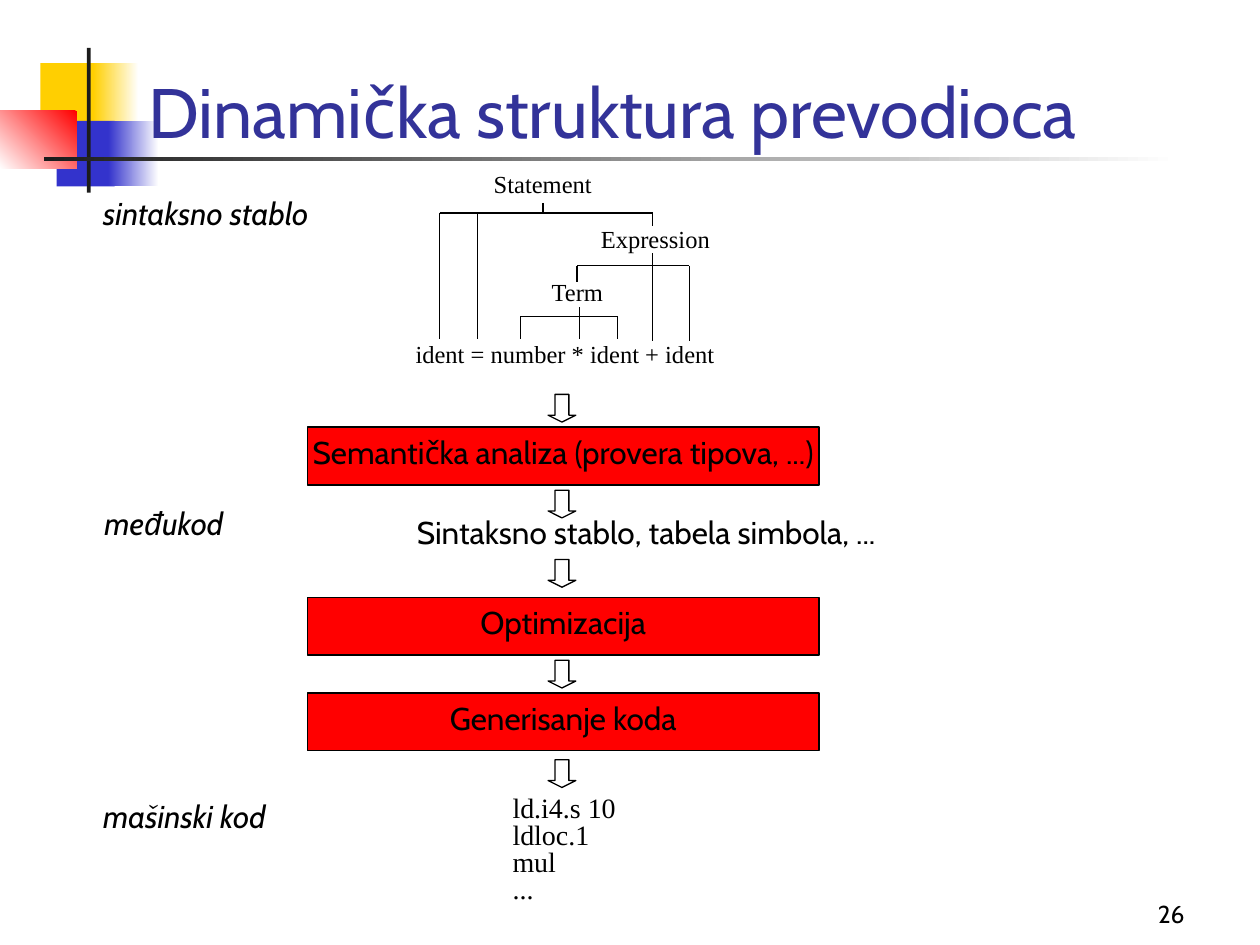
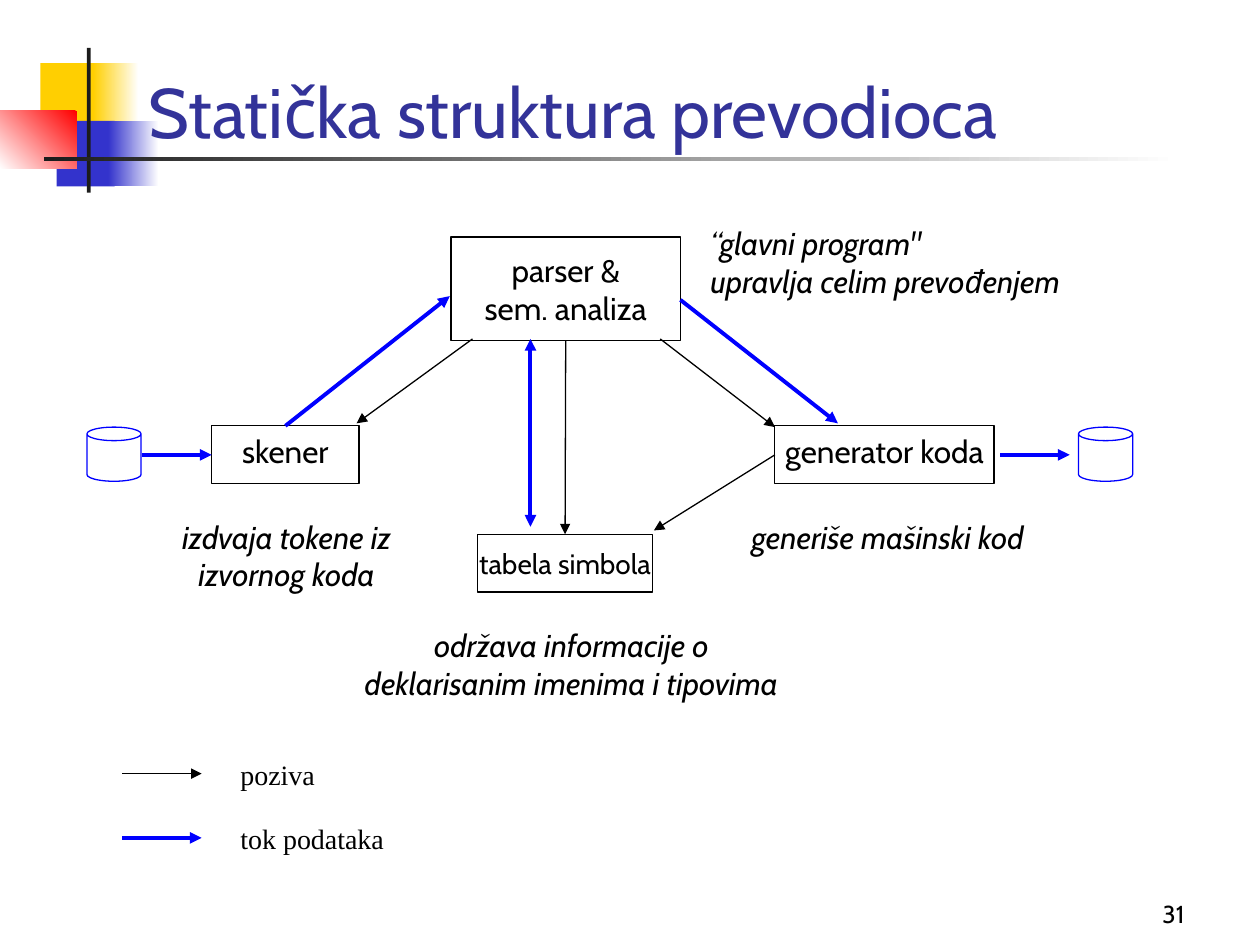
"""Build two slides on the dynamic and static structure of a compiler."""

from dataclasses import dataclass
from typing import Any, Optional

import lxml.etree
import pptx
import pptx.dml.color
import pptx.enum.shapes
import pptx.enum.text
import pptx.oxml.ns
import pptx.util

EMU_PER_PX = 9144
SHAPE = pptx.enum.shapes.MSO_SHAPE
ALIGN = pptx.enum.text.PP_ALIGN
ANCHOR = pptx.enum.text.MSO_ANCHOR
AUTO_SIZE = pptx.enum.text.MSO_AUTO_SIZE
TITLE_ONLY = 5
TOP, LEFT, BOTTOM = 0, 1, 2


@dataclass(frozen=True)
class Theme:
    """Colours, fonts, type sizes and line widths of the deck."""

    black: str = "000000"
    white: str = "FFFFFF"
    title: str = "333399"
    yellow: str = "FFCF01"
    violet: str = "3333CC"
    red: str = "FF0000"
    charcoal: str = "1C1C1C"
    flow: str = "0000FF"
    sans: str = "Cabin"
    serif: str = "Times New Roman"
    title_size: int = 40
    body_size: int = 18
    small_size: int = 16
    tiny_size: int = 14
    thin: float = 0.75
    thick: float = 2.25


THEME = Theme()


@dataclass(frozen=True)
class TextStyle:
    """Look of the text in one box."""

    font: str = THEME.sans
    size: int = THEME.body_size
    color: str = THEME.black
    italic: bool = False
    align: Any = ALIGN.LEFT
    spacing: Optional[float] = None


TITLE = TextStyle(size=THEME.title_size, color=THEME.title)
NUMBER = TextStyle(size=THEME.tiny_size, align=ALIGN.RIGHT)
BODY = TextStyle()
STAGE = TextStyle(align=ALIGN.CENTER)
SMALL_STAGE = TextStyle(size=THEME.small_size, align=ALIGN.CENTER)
NOTE = TextStyle(italic=True)
CENTERED_NOTE = TextStyle(italic=True, align=ALIGN.CENTER)
NODE = TextStyle(font=THEME.serif, size=THEME.tiny_size)
LEGEND = TextStyle(font=THEME.serif, size=THEME.small_size)
CODE = TextStyle(font=THEME.serif, size=THEME.small_size, spacing=0.8)


@dataclass(frozen=True)
class Box:
    """Place of an element in px."""

    left: int
    top: int
    width: int
    height: int

    def emu(self) -> tuple[int, ...]:
        """Return the four lengths in EMU."""
        return tuple(EMU_PER_PX * px for px in (self.left, self.top, self.width, self.height))


@dataclass(frozen=True)
class Band:
    """Borderless rectangle, plain or fading into a second colour."""

    box: Box
    color: str
    end_color: Optional[str] = None
    angle: int = 180


@dataclass(frozen=True)
class Label:
    """Free text on a slide."""

    text: str
    box: Box
    style: TextStyle


@dataclass(frozen=True)
class Block:
    """Outlined shape with optional text and fill."""

    box: Box
    text: str = ""
    style: TextStyle = STAGE
    kind: Any = SHAPE.RECTANGLE
    fill: Optional[str] = None
    line: str = THEME.black
    anchor: Any = ANCHOR.TOP
    adjustments: tuple[float, ...] = ()


@dataclass(frozen=True)
class Link:
    """Straight line, optionally joined to named blocks."""

    start: tuple[int, int]
    end: tuple[int, int]
    color: str = THEME.black
    width: float = THEME.thin
    ends: tuple[str, ...] = ()
    begin_join: Optional[tuple[str, int]] = None
    end_join: Optional[tuple[str, int]] = None


def call(start: tuple[int, int], end: tuple[int, int], **joins: Any) -> Link:
    """Describe a thin call arrow."""
    return Link(start, end, ends=("tailEnd",), **joins)


def flow(start: tuple[int, int], end: tuple[int, int], both: bool = False, **joins: Any) -> Link:
    """Describe a thick data flow arrow."""
    ends = ("headEnd", "tailEnd") if both else ("tailEnd",)
    return Link(start, end, THEME.flow, THEME.thick, ends, **joins)


BANDS = (
    Band(Box(32, 50, 48, 52), THEME.yellow),
    Band(Box(74, 50, 36, 52), THEME.white, THEME.yellow),
    Band(Box(45, 96, 46, 52), THEME.violet),
    Band(Box(86, 96, 40, 52), THEME.white, THEME.violet),
    Band(Box(0, 88, 61, 46), THEME.red, THEME.white, 225),
    Band(Box(69, 38, 3, 115), THEME.charcoal),
    Band(Box(35, 125, 900, 3), THEME.white, THEME.charcoal),
)
TITLE_BOX = Box(108, 0, 852, 126)
NUMBER_BOX = Box(842, 692, 108, 50)

STAGES = (
    (339, "Semantička analiza (provera tipova, ...)"),
    (474, "Optimizacija"),
    (550, "Generisanje koda"),
)
DOWN_ARROW_TOPS = (313, 389, 444, 524, 603)
TREE_LABELS = (
    Label("Statement", Box(382, 129, 102, 34), NODE),
    Label("Expression", Box(467, 173, 112, 34), NODE),
    Label("Term", Box(428, 215, 66, 34), NODE),
    Label("ident = number * ident + ident", Box(320, 264, 266, 34), NODE),
)
PHASE_LABELS = (
    Label("sintaksno stablo", Box(72, 149, 201, 40), NOTE),
    Label("međukod", Box(73, 395, 124, 40), NOTE),
    Label("mašinski kod", Box(72, 628, 165, 40), NOTE),
    Label("Sintaksno stablo, tabela simbola, ...", Box(321, 402, 432, 40), BODY),
    Label("ld.i4.s 10\nldloc.1\nmul\n...", Box(397, 628, 106, 96), CODE),
)
TREE_BARS = ((349, 518, 169), (458, 547, 211), (413, 490, 251))
TREE_STEMS = (
    (431, 161, 169), (349, 169, 269), (379, 169, 269), (518, 169, 179),
    (518, 201, 271), (458, 211, 224), (547, 211, 271),
    (460, 244, 269), (413, 251, 269), (490, 251, 269),
)

COMPONENTS = {
    "parser": Block(Box(358, 188, 182, 82), "parser &\nsem. analiza", anchor=ANCHOR.MIDDLE),
    "scanner": Block(Box(168, 338, 117, 46), "skener"),
    "symbols": Block(Box(379, 424, 139, 46), "tabela simbola", SMALL_STAGE, anchor=ANCHOR.MIDDLE),
    "generator": Block(Box(615, 338, 174, 46), "generator koda"),
}
CYLINDER_LEFTS = (69, 856)
ROLE_LABELS = (
    Label("izdvaja tokene iz\nizvornog koda", Box(126, 406, 203, 70), CENTERED_NOTE),
    Label("održava informacije o\ndeklarisanim imenima i tipovima", Box(261, 492, 385, 70), CENTERED_NOTE),
    Label("generiše mašinski kod", Box(572, 406, 265, 40), CENTERED_NOTE),
    Label("“glavni program\"\nupravlja celim prevođenjem", Box(554, 173, 328, 70), NOTE),
    Label("poziva", Box(181, 596, 83, 37), LEGEND),
    Label("tok podataka", Box(181, 647, 138, 37), LEGEND),
)
COMPONENT_LINKS = (
    call((447, 269), (447, 422), begin_join=("parser", BOTTOM), end_join=("symbols", TOP)),
    call((375, 269), (283, 336)),
    call((524, 269), (615, 339)),
    call((615, 358), (519, 421), begin_join=("generator", LEFT)),
    call((97, 614), (160, 614)),
    flow((224, 337), (357, 235), begin_join=("scanner", TOP)),
    flow((421, 418), (421, 269), both=True),
    flow((113, 361), (167, 361), end_join=("scanner", LEFT)),
    flow((794, 361), (849, 361)),
    flow((540, 238), (665, 336)),
    flow((97, 665), (160, 665)),
)


def rgb(color: str) -> pptx.dml.color.RGBColor:
    """Turn a hex string into a colour."""
    return pptx.dml.color.RGBColor.from_string(color)


def write(text_frame: Any, text: str, style: TextStyle) -> None:
    """Set the text of a frame and format its runs."""
    text_frame.text = text
    for paragraph in text_frame.paragraphs:
        paragraph.alignment = style.align
        if style.spacing:
            paragraph.line_spacing = style.spacing
        for run in paragraph.runs:
            run.font.name = style.font
            run.font.size = pptx.util.Pt(style.size)
            run.font.italic = style.italic
            run.font.color.rgb = rgb(style.color)


def add_band(slide: Any, band: Band) -> Any:
    """Draw a band and return its shape."""
    shape = slide.shapes.add_shape(SHAPE.RECTANGLE, *band.box.emu())
    shape.shadow.inherit = False
    shape.line.fill.background()
    if band.end_color is None:
        shape.fill.solid()
        shape.fill.fore_color.rgb = rgb(band.color)
    else:
        shape.fill.gradient()
        shape.fill.gradient_angle = band.angle
        for stop, color in zip(shape.fill.gradient_stops, (band.color, band.end_color)):
            stop.color.rgb = rgb(color)
    return shape


def add_label(slide: Any, label: Label) -> None:
    """Draw unwrapped text."""
    shape = slide.shapes.add_textbox(*label.box.emu())
    shape.text_frame.word_wrap = False
    shape.text_frame.auto_size = AUTO_SIZE.SHAPE_TO_FIT_TEXT
    write(shape.text_frame, label.text, label.style)


def add_block(slide: Any, block: Block) -> Any:
    """Draw an outlined shape and return it."""
    shape = slide.shapes.add_shape(block.kind, *block.box.emu())
    shape.shadow.inherit = False
    for index, value in enumerate(block.adjustments):
        shape.adjustments[index] = value
    shape.line.color.rgb = rgb(block.line)
    shape.line.width = pptx.util.Pt(THEME.thin)
    if block.fill:
        shape.fill.solid()
        shape.fill.fore_color.rgb = rgb(block.fill)
    else:
        shape.fill.background()
    if block.text:
        shape.text_frame.word_wrap = False
        shape.text_frame.vertical_anchor = block.anchor
        write(shape.text_frame, block.text, block.style)
    return shape


def add_link(slide: Any, link: Link, shapes: dict[str, Any]) -> None:
    """Draw a straight line with its arrowheads and joins."""
    points = [EMU_PER_PX * px for px in link.start + link.end]
    connector = slide.shapes.add_connector(pptx.enum.shapes.MSO_CONNECTOR.STRAIGHT, *points)
    if link.begin_join:
        connector.begin_connect(shapes[link.begin_join[0]], link.begin_join[1])
    if link.end_join:
        connector.end_connect(shapes[link.end_join[0]], link.end_join[1])
    connector.line.color.rgb = rgb(link.color)
    connector.line.width = pptx.util.Pt(link.width)
    qualify = pptx.oxml.ns.qn
    properties = connector.element.spPr
    for end in link.ends:
        lxml.etree.SubElement(properties.find(qualify("a:ln")), qualify(f"a:{end}"), type="triangle")
    lxml.etree.SubElement(properties, qualify("a:effectLst"))


def add_titled_slide(presentation: Any, title: str, number: int) -> Any:
    """Add a slide with its title and number."""
    slide = presentation.slides.add_slide(presentation.slide_layouts[TITLE_ONLY])
    shape = slide.shapes.title
    shape.left, shape.top, shape.width, shape.height = TITLE_BOX.emu()
    shape.text_frame.vertical_anchor = ANCHOR.BOTTOM
    shape.text_frame.auto_size = AUTO_SIZE.NONE
    write(shape.text_frame, title, TITLE)
    footer = slide.shapes.add_textbox(*NUMBER_BOX.emu())
    footer.text_frame.word_wrap = True
    footer.text_frame.vertical_anchor = ANCHOR.BOTTOM
    write(footer.text_frame, str(number), NUMBER)
    return slide


def move_bands_to_layout(slide: Any) -> None:
    """Place the shared bands behind everything on the layout."""
    tree = slide.slide_layout.shapes.element
    for position, band in enumerate(BANDS, start=2):
        tree.insert(position, add_band(slide, band).element)


def fill_dynamic_slide(slide: Any) -> None:
    """Draw the syntax tree and the stages below it."""
    for top, text in STAGES:
        add_block(slide, Block(Box(244, top, 406, 46), text, fill=THEME.red))
    for top in DOWN_ARROW_TOPS:
        add_block(slide, Block(Box(435, top, 22, 22), kind=SHAPE.DOWN_ARROW, adjustments=(0.5, 0.25)))
    for label in TREE_LABELS + PHASE_LABELS:
        add_label(slide, label)
    for left, right, y in TREE_BARS:
        add_link(slide, Link((left, y), (right, y)), {})
    for x, top, bottom in TREE_STEMS:
        add_link(slide, Link((x, top), (x, bottom)), {})


def fill_static_slide(slide: Any) -> None:
    """Draw the compiler components and the arrows between them."""
    shapes = {name: add_block(slide, block) for name, block in COMPONENTS.items()}
    for left in CYLINDER_LEFTS:
        add_block(slide, Block(Box(left, 339, 43, 43), kind=SHAPE.CAN, line=THEME.flow, adjustments=(0.25,)))
    for label in ROLE_LABELS:
        add_label(slide, label)
    for link in COMPONENT_LINKS:
        add_link(slide, link, shapes)


def main() -> None:
    """Build and save the presentation."""
    presentation = pptx.Presentation()
    presentation.slide_width, presentation.slide_height = 1000 * EMU_PER_PX, 750 * EMU_PER_PX
    dynamic = add_titled_slide(presentation, "Dinamička struktura prevodioca", 26)
    move_bands_to_layout(dynamic)
    fill_dynamic_slide(dynamic)
    fill_static_slide(add_titled_slide(presentation, "Statička struktura prevodioca", 31))
    presentation.save("out.pptx")


if __name__ == "__main__":
    main()
